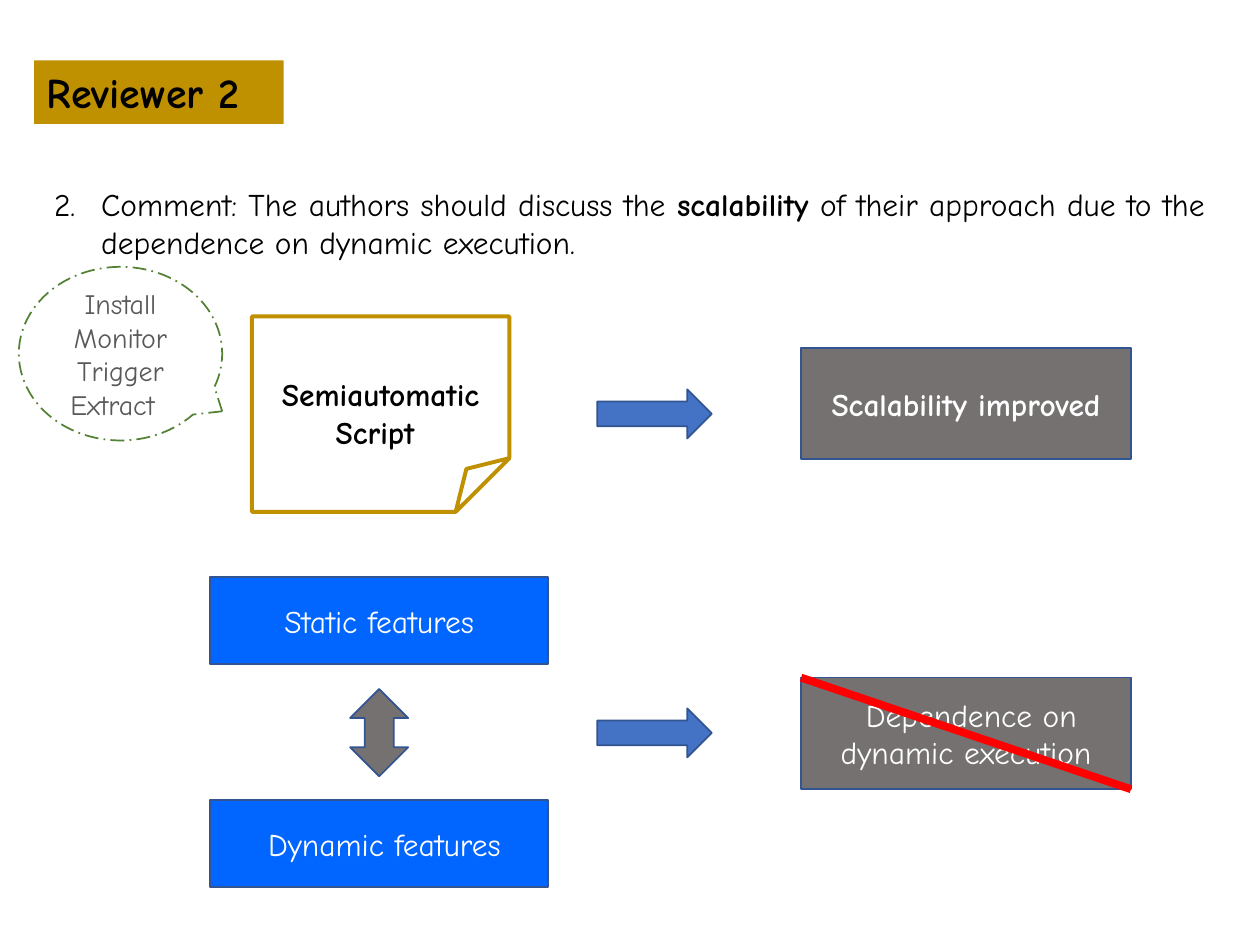
"""Build the Reviewer 2 slide on scalability and dynamic execution."""
from lxml import etree
from pptx import Presentation
from pptx.dml.color import RGBColor
from pptx.enum import dml, shapes, text
from pptx.oxml.ns import qn
from pptx.util import Cm, Pt

FONT = "Comic Neue"
BLACK = RGBColor(0x00, 0x00, 0x00)
WHITE = RGBColor(0xFF, 0xFF, 0xFF)
GOLD = RGBColor(0xBF, 0x90, 0x00)
BLUE = RGBColor(0x00, 0x66, 0xFF)
ARROW_BLUE = RGBColor(0x44, 0x72, 0xC4)
EDGE = RGBColor(0x32, 0x54, 0x91)
GRAY = RGBColor(0x76, 0x71, 0x71)
DARK_GRAY = RGBColor(0x59, 0x59, 0x59)
GREEN = RGBColor(0x54, 0x82, 0x35)
RED = RGBColor(0xFF, 0x00, 0x00)

KIND = shapes.MSO_SHAPE
ALIGN = text.PP_ALIGN
ANCHOR = text.MSO_ANCHOR


def format_run(r, size, color, bold=False):
    """Apply the slide font to a run."""
    r.font.name = FONT
    r.font.size = Pt(size)
    r.font.bold = bold
    r.font.color.rgb = color


def write(sp, words, color, size=18, bold=False, align=ALIGN.CENTER, anchor=ANCHOR.MIDDLE):
    """Fill a shape with text, one paragraph per line."""
    tf = sp.text_frame
    tf.word_wrap = True
    tf.vertical_anchor = anchor
    tf.text = words
    for p in tf.paragraphs:
        p.alignment = align
        for r in p.runs:
            format_run(r, size, color, bold)


def set_guides(sp, **guides):
    """Set the named adjustment guides of a preset shape."""
    geometry = sp._element.spPr.find(qn("a:prstGeom"))
    for old in geometry.findall(qn("a:avLst")):
        geometry.remove(old)
    av = etree.SubElement(geometry, qn("a:avLst"))
    for name, value in guides.items():
        etree.SubElement(av, qn("a:gd"), name=name, fmla=f"val {value}")


def add_shape(s, kind, box, fill=None, line=EDGE, width=1):
    """Add a flat preset shape with optional fill and outline."""
    sp = s.shapes.add_shape(kind, *map(Cm, box))
    sp.shadow.inherit = False
    if fill is None:
        sp.fill.background()
    else:
        sp.fill.solid()
        sp.fill.fore_color.rgb = fill
    if line is None:
        sp.line.fill.background()
    else:
        sp.line.color.rgb = line
        sp.line.width = Pt(width)
    return sp


def add_comment(s, number, parts):
    """Add the numbered reviewer comment from (words, bold) parts."""
    sp = s.shapes.add_textbox(Cm(0.84), Cm(3.61), Cm(23.7), Cm(1.8))
    sp.text_frame.word_wrap = True
    p = sp.text_frame.paragraphs[0]
    p.alignment = ALIGN.JUSTIFY
    pPr = p._p.get_or_add_pPr()
    pPr.set("marL", str(Cm(0.95)))
    pPr.set("indent", str(-Cm(0.95)))
    etree.SubElement(pPr, qn("a:buAutoNum"), type="arabicPeriod", startAt=str(number))
    for words, bold in parts:
        r = p.add_run()
        r.text = words
        format_run(r, 18, BLACK, bold)


def add_strike(s, box):
    """Cross out a box from its top left to its bottom right corner."""
    x, y, w, h = box
    sp = s.shapes.add_connector(shapes.MSO_CONNECTOR.STRAIGHT, Cm(x), Cm(y), Cm(x + w), Cm(y + h))
    sp.line.color.rgb = RED
    sp.line.width = Pt(4.5)
    etree.SubElement(sp._element.spPr, qn("a:effectLst"))


def add_callout(s):
    """Add the dashed callout that lists the script steps."""
    sp = add_shape(s, KIND.OVAL_CALLOUT, (0.38, 5.38, 4.1, 3.5), line=GREEN)
    set_guides(sp, adj1=50000, adj2=33200)
    sp.line.dash_style = dml.MSO_LINE.LONG_DASH_DOT
    write(sp, "Install\nMonitor\nTrigger\nExtract", DARK_GRAY, size=16)
    last = sp.text_frame.paragraphs[-1]
    last._p.get_or_add_pPr().set("marR", str(Cm(0.32)))


def add_script_note(s):
    """Add the folded note with its bold caption."""
    note = add_shape(s, KIND.FOLDED_CORNER, (5.08, 6.38, 5.19, 3.94), line=GOLD, width=2.25)
    set_guides(note, adj=27500)
    caption = s.shapes.add_textbox(Cm(5.08), Cm(7.44), Cm(5.19), Cm(1.8))
    write(caption, "Semiautomatic Script ", BLACK, bold=True, anchor=ANCHOR.TOP)


def main():
    """Assemble and save the slide."""
    prs = Presentation()
    prs.slide_width, prs.slide_height = Cm(25.4), Cm(19.05)
    s = prs.slides.add_slide(prs.slide_layouts[6])

    title = add_shape(s, KIND.RECTANGLE, (0.69, 1.22, 5.03, 1.28), GOLD, line=None)
    write(title, "Reviewer 2", BLACK, 24, True, ALIGN.LEFT, ANCHOR.TOP)
    add_comment(s, 2, [
        ("Comment: The authors should discuss the ", False),
        ("scalability", True),
        (" of their approach due to the dependence on dynamic execution.", False),
    ])

    for y, words in ((11.63, "Static features"), (16.13, " Dynamic features")):
        write(add_shape(s, KIND.RECTANGLE, (4.24, y, 6.81, 1.76), BLUE), words, WHITE)
    add_shape(s, KIND.UP_DOWN_ARROW, (7.06, 13.89, 1.17, 1.76), GRAY)
    add_script_note(s)

    for y in (7.85, 14.28):
        add_shape(s, KIND.RIGHT_ARROW, (12.04, y, 2.31, 0.99), ARROW_BLUE)
    outcomes = (
        (7.01, "Scalability improved", True),
        (13.66, " Dependence on dynamic execution", False),
    )
    for y, words, bold in outcomes:
        box = (16.15, y, 6.65, 2.25)
        write(add_shape(s, KIND.RECTANGLE, box, GRAY), words, WHITE, bold=bold)
    add_strike(s, box)
    add_callout(s)
    prs.save("out.pptx")


if __name__ == "__main__":
    main()
